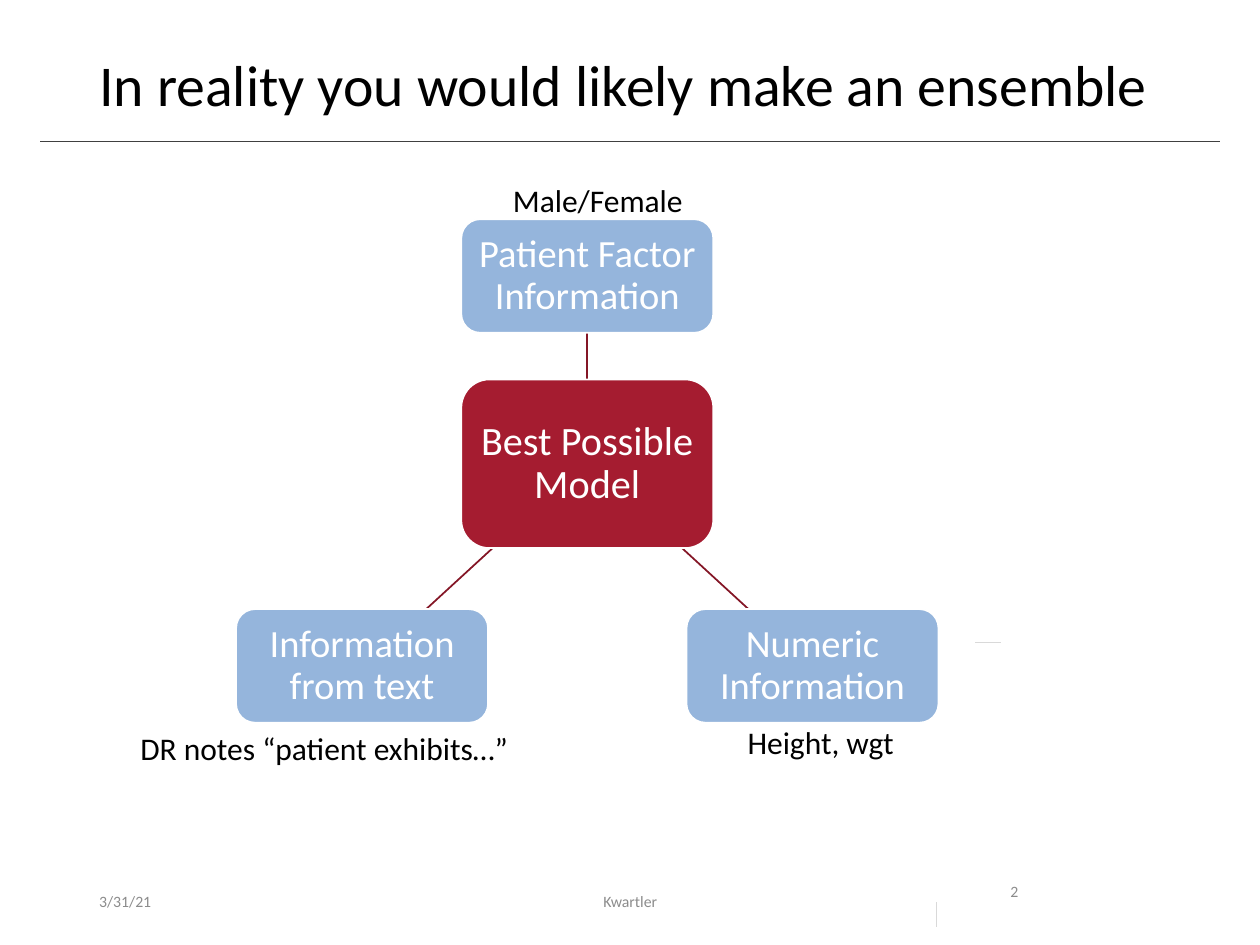
from pptx import Presentation
from pptx.dml.color import RGBColor
from pptx.enum.shapes import MSO_CONNECTOR, MSO_SHAPE
from pptx.enum.text import MSO_ANCHOR as ANCHOR, PP_ALIGN as ALIGN
from pptx.oxml.ns import qn
from pptx.util import Cm, Pt

CRIMSON = RGBColor(0xA5, 0x1C, 0x30)
DARK_RED = RGBColor(0x84, 0x16, 0x26)
BLUE = RGBColor(0x95, 0xB5, 0xDC)
WHITE = RGBColor(0xFF, 0xFF, 0xFF)
BLACK = RGBColor(0, 0, 0)
DARK_GREY = RGBColor(0x40, 0x40, 0x40)
GREY = RGBColor(0x8C, 0x8C, 0x8C)
LIGHT_GREY = RGBColor(0xD9, 0xD9, 0xD9)
FONT = "Calibri"


def set_text(shape, text, size, color, align=ALIGN.LEFT, spacing=None):
    paragraph = shape.text_frame.paragraphs[0]
    paragraph.text = text
    paragraph.alignment = align
    paragraph.line_spacing = spacing
    font = paragraph.font
    font.name, font.size, font.color.rgb = FONT, Pt(size), color


def add_line(slide, x1, y1, x2, y2, color, width):
    line = slide.shapes.add_connector(
        MSO_CONNECTOR.STRAIGHT, Cm(x1), Cm(y1), Cm(x2), Cm(y2))
    line.line.color.rgb = color
    line.line.width = Pt(width)
    properties = line._element.spPr
    properties.append(properties.makeelement(qn("a:effectLst"), {}))


def add_label(slide, box, text, size, color, align=ALIGN.LEFT,
              anchor=ANCHOR.TOP, wrap=True):
    label = slide.shapes.add_textbox(*map(Cm, box))
    label.text_frame.word_wrap = wrap
    label.text_frame.vertical_anchor = anchor
    set_text(label, text, size, color, align)


def add_node(slide, box, text, size, fill):
    node = slide.shapes.add_shape(MSO_SHAPE.ROUNDED_RECTANGLE, *map(Cm, box))
    node.shadow.inherit = False
    node.fill.solid()
    node.fill.fore_color.rgb = fill
    node.line.color.rgb = WHITE
    node.line.width = Pt(1)
    frame = node.text_frame
    frame.word_wrap = True
    frame.vertical_anchor = ANCHOR.MIDDLE
    # The rounded corners already inset the text
    frame.margin_left = frame.margin_right = Cm(0.05)
    set_text(node, text, size, WHITE, ALIGN.CENTER, 0.9)


def add_header(slide, left, top, width, height):
    add_line(slide, 0.81, top + 1.83, 24.59, top + 1.83, DARK_GREY, 0.5)
    title = slide.shapes.title
    title.left, title.top, title.width, title.height = map(
        Cm, (left, top, width, height))
    title.text_frame.vertical_anchor = ANCHOR.TOP
    set_text(title, "In reality you would likely make an ensemble",
             33, BLACK, spacing=0.9)


def add_ensemble(slide, left, top, width, height):
    node_w, node_h, hub_h = 5.08, 2.29, 3.4
    center = left + width / 2
    hub_top = top + 3.23
    hub_bottom = hub_top + hub_h
    lower_top = top + height - node_h
    node_left = center - node_w / 2
    spread = (width - node_w) / 2

    # Links from the hub
    add_line(slide, center, hub_top, center, top + node_h, DARK_RED, 1)
    for side in (-1, 1):
        add_line(slide, center + side * 1.91, hub_bottom,
                 center + side * 3.25, lower_top, DARK_RED, 1)

    # Hub and its sources
    add_node(slide, (node_left, hub_top, node_w, hub_h),
             "Best Possible Model", 23, CRIMSON)
    for text, shift, y in (
            ("Patient Factor Information", 0, top),
            ("Numeric Information", spread, lower_top),
            ("Information from text", -spread, lower_top)):
        add_node(slide, (node_left + shift, y, node_w, node_h), text, 22, BLUE)

    # Example captions
    for text, x, y, caption_w in (
            ("Male/Female", 5.33, -0.89, 3.99),
            ("Height, wgt", 10.06, 10.03, 3.51),
            ("DR notes “patient exhibits…”", -2.18, 10.16, 8.03)):
        add_label(slide, (left + x, top + y, caption_w, 1.02),
                  text, 18, BLACK, wrap=False)


def add_footer(slide, left, top, height):
    add_label(slide, (left, top, 5.72, height), "3/31/21", 9, GREY,
              anchor=ANCHOR.MIDDLE)
    add_label(slide, (left + 6.66, top, 8.59, height), "Kwartler", 9, GREY,
              ALIGN.CENTER, ANCHOR.MIDDLE)
    add_label(slide, (left + 18.37, top, 2.39, height), "2", 9, GREY)


def add_ticks(slide):
    add_line(slide, 18.87, 18.19, 18.87, 18.69, LIGHT_GREY, 0.5)
    add_line(slide, 19.66, 12.95, 20.17, 12.95, LIGHT_GREY, 0.5)


deck = Presentation()
deck.slide_width, deck.slide_height = Cm(25.4), Cm(19.05)
ensemble_slide = deck.slides.add_slide(deck.slide_layouts[5])
add_header(ensemble_slide, 1.75, 1.02, 21.89, 1.65)
add_ensemble(ensemble_slide, 4.76, 4.42, 14.16, 10.15)
add_footer(ensemble_slide, 1.75, 17.65, 1.02)
add_ticks(ensemble_slide)
deck.save("out.pptx")
